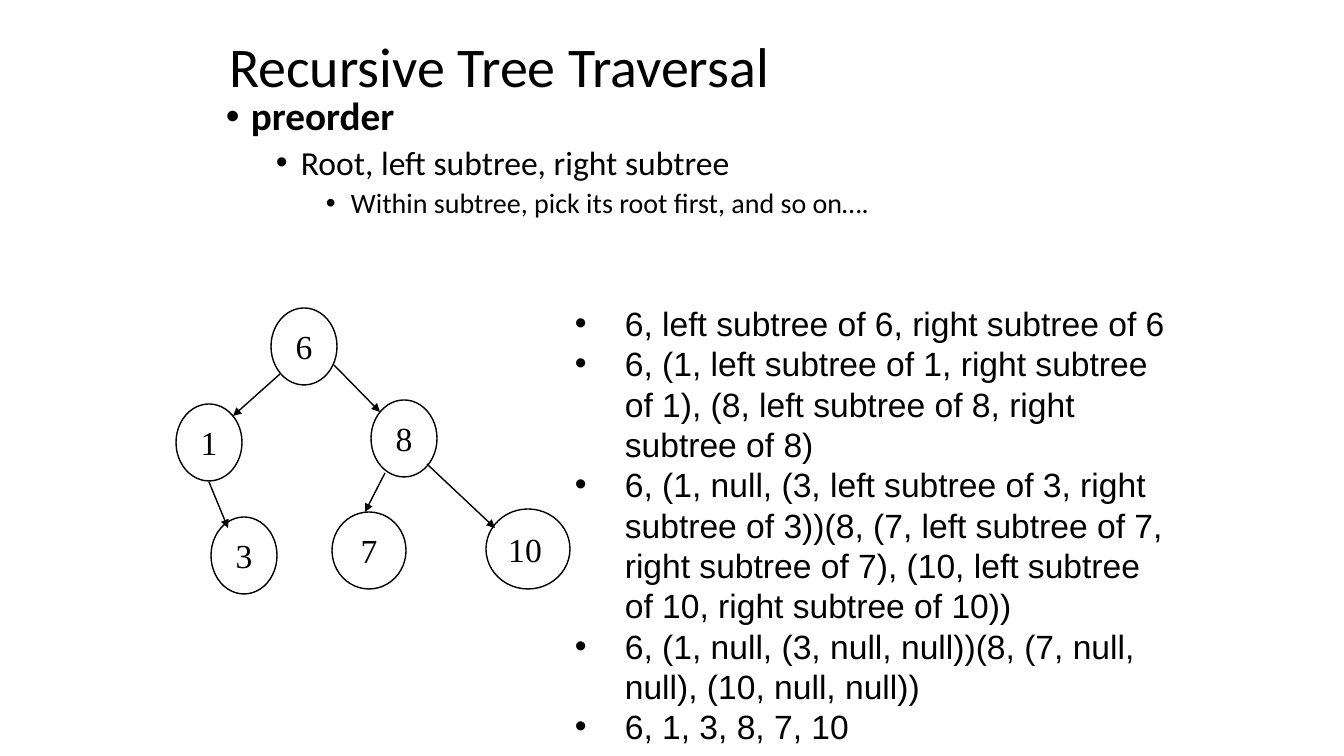
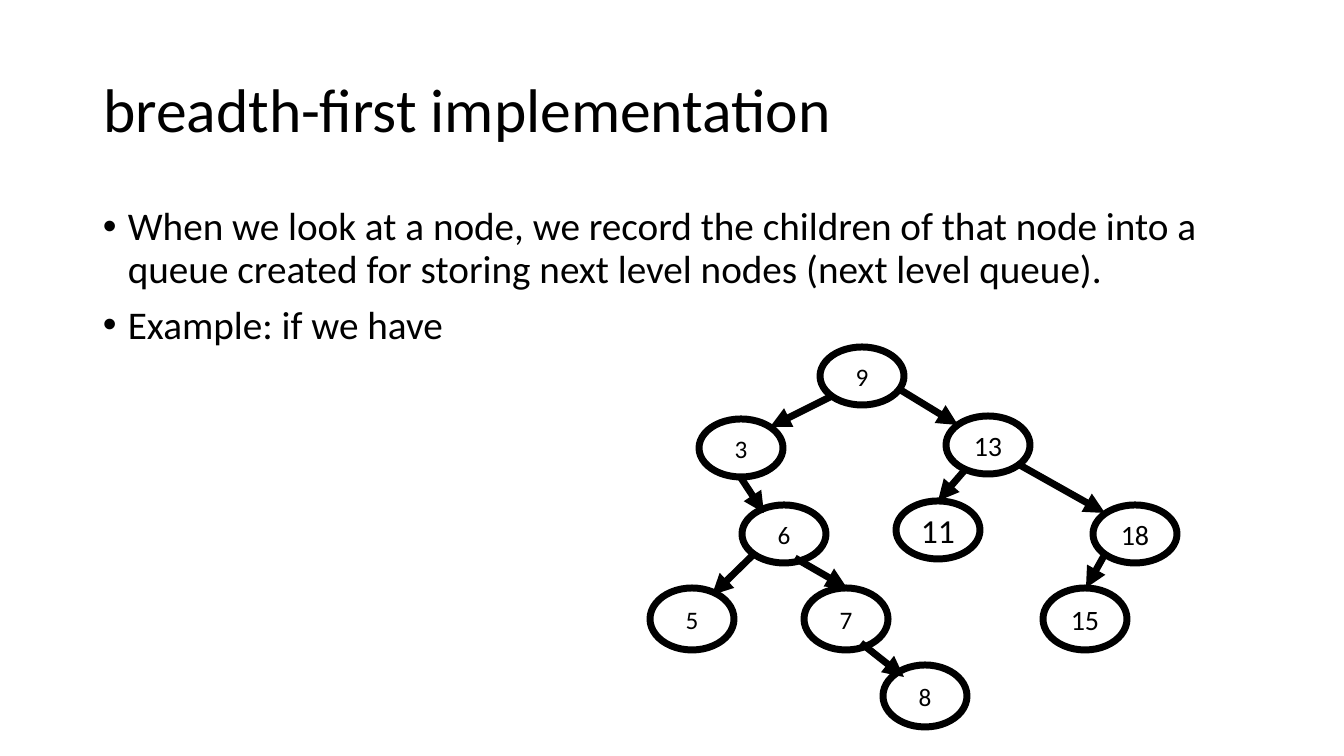
import pptx
import pptx.util
import pptx.dml.color
import pptx.enum.shapes
import pptx.enum.text
import pptx.oxml.ns
import lxml.etree

SCALE = 914400 / 100.8
COLOURS = {"ink": "000000", "paper": "FFFFFF"}
ALIGN = pptx.enum.text.PP_ALIGN
ANCHOR = pptx.enum.text.MSO_ANCHOR

OUTLINE_LEVELS = [
    {"size": 28, "bold": True, "before": 10},
    {"size": 24, "before": 5},
    {"size": 20, "before": 5},
]


def px(length):
    return pptx.util.Emu(round(length * SCALE))


def colour(name):
    return pptx.dml.color.RGBColor.from_string(COLOURS[name])


def add_child(parent, tag, **attributes):
    return lxml.etree.SubElement(parent, pptx.oxml.ns.qn(tag), attributes)


def style_para(para, font, size, bold=False, align=ALIGN.LEFT):
    para.alignment = align
    for span in para.runs:
        span.font.name = font
        span.font.size = pptx.util.Pt(size)
        span.font.bold = bold
        span.font.color.rgb = colour("ink")


def add_bullet(para, margin, hang):
    properties = para._p.get_or_add_pPr()
    properties.set("marL", str(px(margin)))
    properties.set("indent", str(-px(hang)))
    add_child(properties, "a:buFont", typeface="Arial")
    add_child(properties, "a:buChar", char="•")


def add_page(deck, title, frame, size):
    page = deck.slides.add_slide(deck.slide_layouts[5])
    page.background.fill.solid()
    page.background.fill.fore_color.rgb = colour("paper")
    box = page.shapes.title
    box.left, box.top, box.width, box.height = map(px, frame)
    box.text_frame.text = title
    box.text_frame.word_wrap = True
    box.text_frame.auto_size = pptx.enum.text.MSO_AUTO_SIZE.NONE
    box.text_frame.vertical_anchor = ANCHOR.MIDDLE
    para = box.text_frame.paragraphs[0]
    para.line_spacing = 0.9
    style_para(para, "Calibri", size)
    return page


def add_lines(page, frame, lines):
    box = page.shapes.add_textbox(*map(px, frame))
    box.text_frame.word_wrap = True
    box.text_frame.text = "\n".join(lines)
    return box.text_frame.paragraphs


def add_outline(page, frame, items):
    paras = add_lines(page, frame, [text for text, level, bold in items])
    for para, (text, level, bold) in zip(paras, items):
        rank = OUTLINE_LEVELS[level]
        para.level = level
        para.line_spacing = 0.9
        para.space_before = pptx.util.Pt(rank["before"])
        style_para(para, "Calibri", rank["size"], bold)
        add_bullet(para, 25 + 50 * level, 25)


def add_steps(page, frame, steps):
    for para in add_lines(page, frame, steps):
        style_para(para, "Arial", 24)
        add_bullet(para, 50, 50)


def add_node(shapes, label, frame, font, size, weight, align=ALIGN.CENTER):
    node = shapes.add_shape(pptx.enum.shapes.MSO_SHAPE.OVAL, *map(px, frame))
    node.shadow.inherit = False
    node.fill.background()
    node.line.color.rgb = colour("ink")
    node.line.width = pptx.util.Pt(weight)
    node.text_frame.text = label
    node.text_frame.word_wrap = True
    node.text_frame.vertical_anchor = ANCHOR.MIDDLE
    style_para(node.text_frame.paragraphs[0], font, size, align=align)


def add_arrow(shapes, ends, weight):
    straight = pptx.enum.shapes.MSO_CONNECTOR.STRAIGHT
    arrow = shapes.add_connector(straight, *map(px, ends))
    arrow.line.color.rgb = colour("ink")
    arrow.line.width = pptx.util.Pt(weight)
    add_child(arrow.line._get_or_add_ln(), "a:tailEnd", type="triangle")
    add_child(arrow._element.spPr, "a:effectLst")


def add_tree(page, nodes, arrows, font, weight):
    shapes = page.shapes.add_group_shape().shapes
    for label, frame, size, align in nodes:
        add_node(shapes, label, frame, font, size, weight, align)
    for ends in arrows:
        add_arrow(shapes, ends, weight)


def build_preorder(deck):
    page = add_page(deck, "Recursive Tree Traversal", (219, 6, 907, 126), 40)
    add_outline(page, (216, 92, 882, 182), [
        ("preorder", 0, True),
        ("Root, left subtree, right subtree", 1, False),
        ("Within subtree, pick its root first, and so on….", 2, False),
    ])
    add_steps(page, (565, 298, 611, 539), [
        "6, left subtree of 6, right subtree of 6",
        "6, (1, left subtree of 1, right subtree of 1), "
        "(8, left subtree of 8, right subtree of 8)",
        "6, (1, null, (3, left subtree of 3, right subtree of 3))"
        "(8, (7, left subtree of 7, right subtree of 7), "
        "(10, left subtree of 10, right subtree of 10))",
        "6, (1, null, (3, null, null))(8, (7, null, null), (10, null, null))",
        "6, 1, 3, 8, 7, 10",
    ])
    nodes = [
        ("6", (271, 308, 66, 77), 24, ALIGN.CENTER),
        ("1", (176, 404, 66, 77), 24, ALIGN.CENTER),
        ("8", (371, 400, 66, 77), 24, ALIGN.CENTER),
        ("7", (332, 512, 74, 77), 24, ALIGN.CENTER),
        ("10", (486, 509, 84, 80), 24, ALIGN.LEFT),
        ("3", (211, 517, 66, 77), 24, ALIGN.CENTER),
    ]
    arrows = [
        (280, 374, 233, 416),
        (334, 365, 380, 412),
        (209, 482, 228, 528),
        (385, 473, 365, 512),
        (427, 464, 495, 528),
    ]
    add_tree(page, nodes, arrows, "Times New Roman", 1)


def build_breadth_first(deck):
    page = add_page(deck, "breadth-first implementation", (93, 40, 1159, 146), 44)
    add_outline(page, (93, 202, 1159, 480), [
        ("When we look at a node, we record the children of that node into a "
         "queue created for storing next level nodes (next level queue).", 0, False),
        ("Example: if we have", 0, False),
    ])
    places = [
        ("9", 820, 347, 58, 18),
        ("3", 699, 419, 58, 18),
        ("13", 946, 416, 58, 20),
        ("11", 896, 501, 58, 24),
        ("18", 1093, 505, 58, 20),
        ("6", 742, 505, 58, 18),
        ("5", 650, 588, 62, 18),
        ("7", 804, 588, 62, 18),
        ("15", 1043, 588, 62, 20),
        ("8", 883, 665, 62, 18),
    ]
    nodes = [(label, (left, top, 84, height), size, ALIGN.CENTER)
             for label, left, top, height, size in places]
    arrows = [
        (832, 396, 770, 427),
        (899, 389, 958, 425),
        (741, 478, 764, 513),
        (964, 471, 938, 501),
        (1018, 464, 1105, 513),
        (754, 554, 712, 595),
        (795, 558, 847, 588),
        (1105, 554, 1086, 588),
        (861, 643, 904, 677),
    ]
    add_tree(page, nodes, arrows, "Calibri", 5)


def main():
    deck = pptx.Presentation()
    deck.slide_width, deck.slide_height = px(1344), px(756)
    build_preorder(deck)
    build_breadth_first(deck)
    deck.save("out.pptx")


main()
